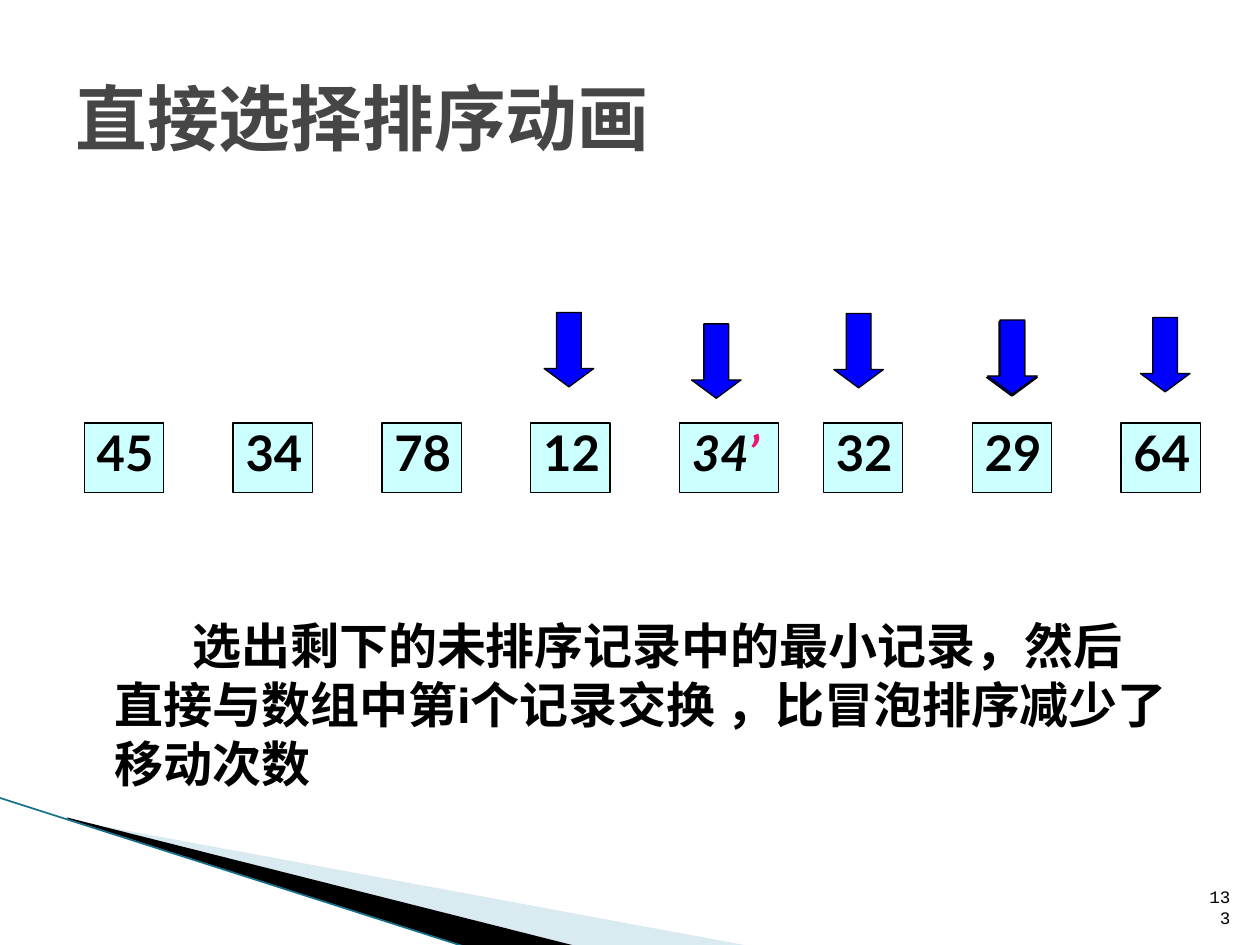
from dataclasses import dataclass

from lxml.etree import SubElement
from pptx import Presentation
from pptx.dml.color import RGBColor
from pptx.enum.shapes import MSO_CONNECTOR, MSO_SHAPE
from pptx.enum.text import MSO_ANCHOR, PP_ALIGN
from pptx.oxml.ns import qn
from pptx.util import Cm, Pt


@dataclass(frozen=True)
class Theme:
    title_font: str = "Courier New"
    body_font: str = "Arial"
    record_font: str = "Lato"
    title_size: float = 41
    body_size: float = 28
    number_size: float = 10
    outline_width: float = 0.75
    edge_width: float = 0.95
    ink: str = "000000"
    title: str = "464646"
    record: str = "CCFFFF"
    arrow: str = "0000FF"
    accent: str = "ED1370"
    wedge: str = "A0CBDC"
    edge: str = "14708A"


class SlideBuilder:
    def __init__(self, page, theme):
        self.page = page
        self.theme = theme

    def style_span(self, span, font, size, color, bold=True):
        span.font.name = font
        span.font.size = Pt(size)
        span.font.bold = bold
        span.font.color.rgb = RGBColor.from_string(color)

    def paint(self, shape, color):
        shape.shadow.inherit = False
        shape.fill.solid()
        shape.fill.fore_color.rgb = RGBColor.from_string(color)

    def outline(self, shape):
        shape.line.color.rgb = RGBColor.from_string(self.theme.ink)
        shape.line.width = Pt(self.theme.outline_width)

    def wedge(self, points, color, opacity=100):
        start, *others = [(x * 100, y * 100) for x, y in points]
        builder = self.page.shapes.build_freeform(*start, scale=Cm(0.01))
        builder.add_line_segments(others, close=True)
        shape = builder.convert_to_shape()
        self.paint(shape, color)
        shape.line.fill.background()
        if opacity < 100:
            tint = shape.fill._xPr.find(qn("a:solidFill"))[0]
            SubElement(tint, qn("a:alpha")).set("val", str(opacity * 1000))

    def edge(self, x1, y1, x2, y2):
        line = self.page.shapes.add_connector(
            MSO_CONNECTOR.STRAIGHT, Cm(x1), Cm(y1), Cm(x2), Cm(y2))
        line.line.color.rgb = RGBColor.from_string(self.theme.edge)
        line.line.width = Pt(self.theme.edge_width)
        SubElement(line._element.spPr, qn("a:effectLst"))

    def text(self, words, left, top, width, height, font, size, color,
             bold=True, anchor=MSO_ANCHOR.TOP, align=PP_ALIGN.LEFT):
        box = self.page.shapes.add_textbox(Cm(left), Cm(top), Cm(width), Cm(height))
        frame = box.text_frame
        frame.word_wrap = True
        frame.vertical_anchor = anchor
        frame.text = words
        para = frame.paragraphs[0]
        para.alignment = align
        self.style_span(para.runs[0], font, size, color, bold)
        return para

    def record(self, words, left, top, width=1.6, height=1.4, mark=""):
        box = self.page.shapes.add_shape(
            MSO_SHAPE.RECTANGLE, Cm(left), Cm(top), Cm(width), Cm(height))
        self.paint(box, self.theme.record)
        self.outline(box)
        frame = box.text_frame
        frame.word_wrap = False
        frame.vertical_anchor = MSO_ANCHOR.MIDDLE
        frame.text = words
        para = frame.paragraphs[0]
        para.alignment = PP_ALIGN.LEFT
        para.line_spacing = 0.8
        para.space_before = Pt(self.theme.body_size * 0.2)
        if mark:
            para.add_run().text = mark
        for span, color in zip(para.runs, (self.theme.ink, self.theme.accent)):
            self.style_span(span, self.theme.record_font, self.theme.body_size, color)
            span.font.italic = bool(mark)

    def arrow(self, left, top, width=1, height=1.5):
        shape = self.page.shapes.add_shape(
            MSO_SHAPE.DOWN_ARROW, Cm(left), Cm(top), Cm(width), Cm(height))
        shape.adjustments[0] = 0.5
        shape.adjustments[1] = 0.37
        self.paint(shape, self.theme.arrow)
        self.outline(shape)


def main():
    deck = Presentation()
    deck.slide_width, deck.slide_height = Cm(25.4), Cm(19.05)
    theme = Theme()
    slide = SlideBuilder(deck.slides.add_slide(deck.slide_layouts[6]), theme)

    slide.wedge([(1.4, 16.53), (15.11, 19.07), (11.58, 19.07), (1.4, 16.51)],
                theme.wedge, opacity=40)
    slide.wedge([(1.35, 16.48), (11.61, 19.07), (9.45, 19.1), (1.37, 16.51)],
                theme.ink)
    slide.edge(-0.02, 16.08, 9.42, 19.1)

    slide.text("直接选择排序动画", 1.27, 0.76, 22.86, 3.18, theme.title_font,
               theme.title_size, theme.title, anchor=MSO_ANCHOR.MIDDLE)

    record_top, record_step = 8.53, 3
    for first_left, values in ((1.7, ("45", "34", "78", "12")),
                               (16.6, ("32", "29", "64"))):
        for index, value in enumerate(values):
            slide.record(value, first_left + index * record_step, record_top)
    slide.record("34", 13.7, record_top, width=2, mark="’")

    for left, top in ((10.97, 6.3), (16.81, 6.32), (19.91, 6.48), (19.89, 6.48),
                      (13.94, 6.53), (19.91, 6.45), (22.99, 6.4)):
        slide.arrow(left, top)

    summary = slide.text(
        "选出剩下的未排序记录中的最小记录，然后直接与数组中第i个记录交换 ，比冒泡排序减少了移动次数",
        0.79, 12.29, 23.01, 3.84, theme.body_font, theme.body_size, theme.ink)
    indents = summary._p.get_or_add_pPr()
    indents.set("marL", str(Cm(1.27)))
    indents.set("indent", str(Cm(1.57)))

    slide.text("133", 24.03, 17.81, 1.02, 1.02, theme.title_font, theme.number_size,
               theme.ink, bold=False, anchor=MSO_ANCHOR.BOTTOM, align=PP_ALIGN.RIGHT)

    deck.save("out.pptx")


if __name__ == "__main__":
    main()
